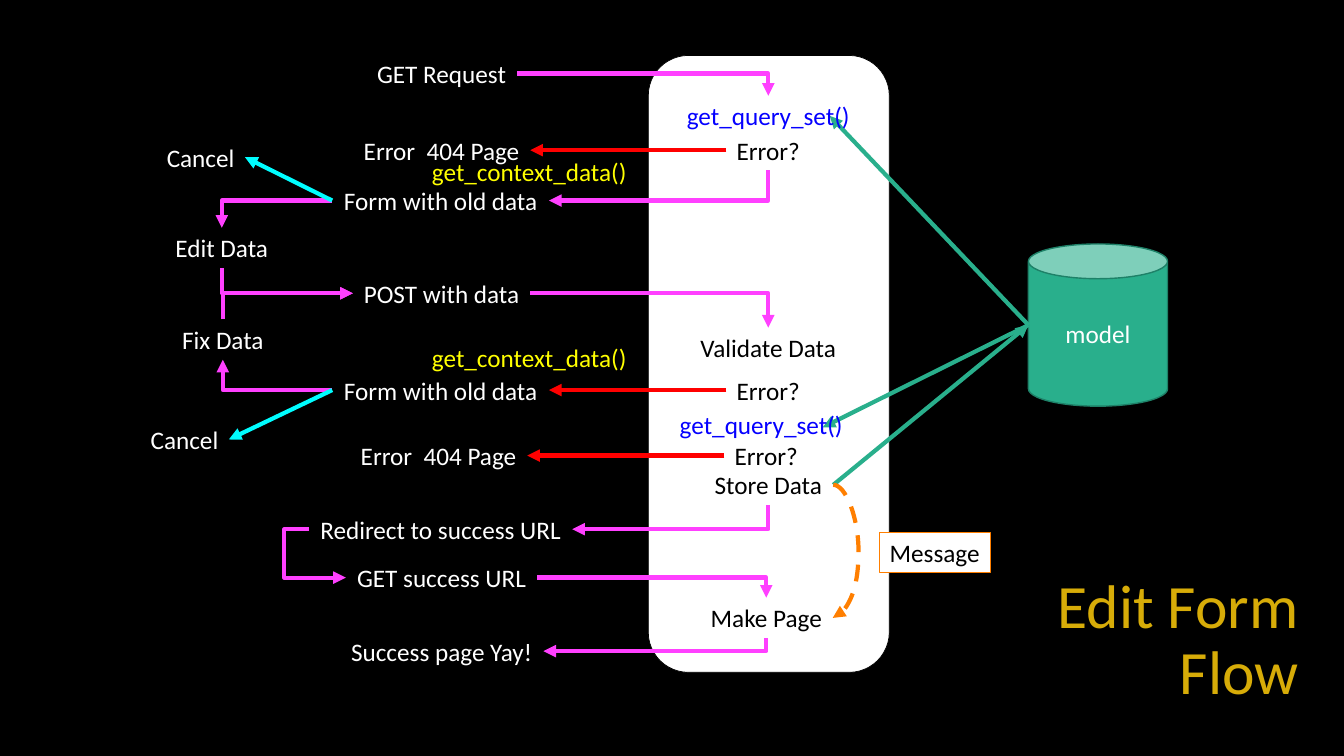
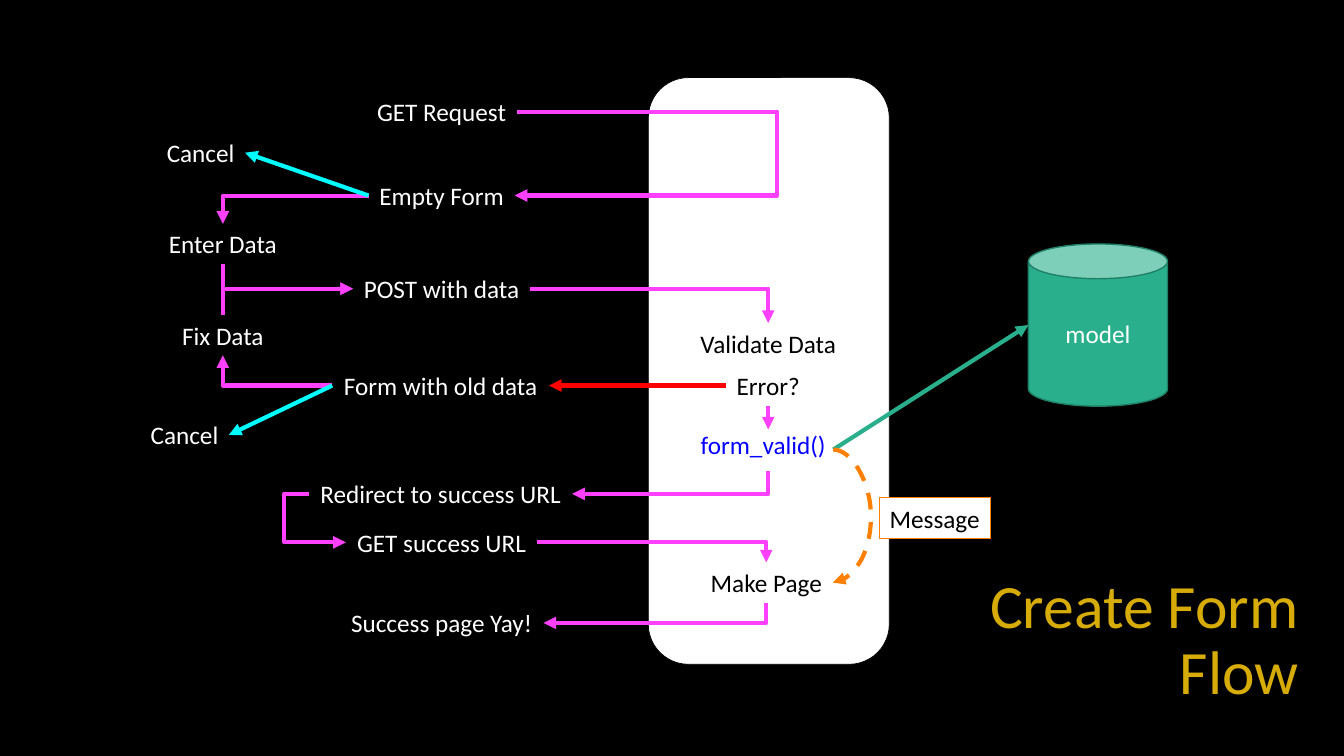
from dataclasses import dataclass
from typing import Dict, List, Optional, Tuple, Union

from lxml import etree
from pptx import Presentation
from pptx import util as u
from pptx.dml.color import RGBColor
from pptx.enum import dml, shapes, text
from pptx.oxml.ns import qn

SLIDE_WIDTH, SLIDE_HEIGHT = 13.33, 7.5
CELLS_PER_INCH = 10
FONT = "Calibri"
BLACK, WHITE, GOLD = "000000", "FFFFFF", "D7AC08"
FLOW, FAULT, CANCEL, DATA = "FF40FF", "FF0000", "00FDFF", "29AF8C"
MESSAGE, MODEL_EDGE, HOOK, CONTEXT = "FF7F00", "1E8168", "0500FF", "FFFF00"
SIDES = ("top", "left", "bottom", "right")
ROW = 4.0

Point = Tuple[float, float]
End = Union[str, Point]

POSES = {
    ("across", True, True): (0, ""),
    ("across", False, True): (180, "v"),
    ("across", False, False): (180, ""),
    ("down", False, True): (90, ""),
    ("down", True, True): (270, "h"),
    ("down", True, False): (90, "hv"),
    ("loop", True, True): (180, "hv"),
    ("loop", False, True): (0, "h"),
    ("curve", False, True): (0, "h"),
}


@dataclass(frozen=True)
class Node:
    words: str
    col: float
    row: float
    cols: float
    color: str = WHITE


@dataclass(frozen=True)
class Link:
    start: End
    end: End
    route: str = "straight"
    color: str = FLOW
    bend: Optional[float] = None
    dashed: bool = False


@dataclass(frozen=True)
class Flow:
    title: str
    title_col: float
    panel_row: float
    panel_rows: float
    message_row: float
    nodes: Dict[str, Node]
    links: List[Link]


def cells(count: float) -> int:
    return int(u.Inches(count / CELLS_PER_INCH))


def rgb(color: str) -> RGBColor:
    return RGBColor.from_string(color)


def write(shape, words: str, *, size=18, color=WHITE, align=text.PP_ALIGN.CENTER,
          spacing=None, wrap=False, fit=text.MSO_AUTO_SIZE.SHAPE_TO_FIT_TEXT):
    frame = shape.text_frame
    frame.text = words
    frame.word_wrap = wrap
    frame.auto_size = fit
    paragraph = frame.paragraphs[0]
    paragraph.alignment = align
    paragraph.line_spacing = spacing
    font = paragraph.runs[0].font
    font.name, font.size = FONT, u.Pt(size)
    font.color.rgb = rgb(color)


def add_block(slide, kind, col, row, cols, rows, fill, edge, weight):
    block = slide.shapes.add_shape(kind, *map(cells, (col, row, cols, rows)))
    block.shadow.inherit = False
    block.fill.solid()
    block.fill.fore_color.rgb = rgb(fill)
    block.line.color.rgb = rgb(edge)
    block.line.width = u.Pt(weight)
    return block


def add_node(slide, node: Node):
    box = slide.shapes.add_textbox(*map(cells, (
        node.col - node.cols / 2, node.row - ROW / 2, node.cols, ROW)))
    write(box, node.words, color=node.color)
    return box


def locate(end: End, parts) -> Tuple[int, int]:
    if not isinstance(end, str):
        return cells(end[0]), cells(end[1])
    name, side = end.split(".")
    part = parts[name]
    across, down = {"top": (1, 0), "left": (0, 1),
                    "bottom": (1, 2), "right": (2, 1)}[side]
    return part.left + part.width * across // 2, part.top + part.height * down // 2


def join(connect, end: End, parts):
    if isinstance(end, str):
        name, side = end.split(".")
        connect(parts[name], SIDES.index(side) + (name == "model"))


def add_link(slide, link: Link, parts):
    (x1, y1), (x2, y2) = locate(link.start, parts), locate(link.end, parts)
    kind = {"straight": shapes.MSO_CONNECTOR.STRAIGHT,
            "curve": shapes.MSO_CONNECTOR.CURVE}.get(link.route, shapes.MSO_CONNECTOR.ELBOW)
    arrow = slide.shapes.add_connector(kind, x1, y1, x2, y2)
    join(arrow.begin_connect, link.start, parts)
    join(arrow.end_connect, link.end, parts)

    if link.route == "straight":
        turn, flips = 0, "h" * (x2 < x1) + "v" * (y2 < y1)
    else:
        turn, flips = POSES[link.route, x2 > x1, y2 > y1]
    width, height = abs(x2 - x1), abs(y2 - y1)
    if turn in (90, 270):
        width, height = height, width
    arrow.left, arrow.top = (x1 + x2 - width) // 2, (y1 + y2 - height) // 2
    arrow.width, arrow.height = width, height
    properties = arrow.element.spPr
    frame = properties.find(qn("a:xfrm"))
    frame.set("rot", str(turn * 60000))
    frame.set("flipH", str(int("h" in flips)))
    frame.set("flipV", str(int("v" in flips)))

    geometry = properties.find(qn("a:prstGeom"))
    if link.route in ("across", "down"):
        geometry.set("prst", "bentConnector2")
    if link.bend is not None:
        share = round((cells(link.bend) - x1) / (x2 - x1) * 100000)
        etree.SubElement(geometry.find(qn("a:avLst")), qn("a:gd"),
                         name="adj1", fmla=f"val {share}")

    arrow.line.color.rgb = rgb(link.color)
    arrow.line.width = u.Pt(3)
    if link.dashed:
        arrow.line.dash_style = dml.MSO_LINE.DASH
    etree.SubElement(properties.find(qn("a:ln")), qn("a:tailEnd"), type="triangle")
    etree.SubElement(properties, qn("a:effectLst"))


def shared_nodes(form: float, tail: float) -> Dict[str, Node]:
    return {
        "cancel_first": Node("Cancel", 19.9, 15.6 + form, 8.8),
        "post": Node("POST with data", 43.8, 29.1 + form, 17.6),
        "fix": Node("Fix Data", 22.1, 33.7 + form, 10.2),
        "validate": Node("Validate Data", 76.2, 34.5 + form, 15.6, BLACK),
        "invalid": Node("Error?", 76.2, 38.7 + form, 8.3, BLACK),
        "returned": Node("Form with old data", 43.7, 38.7 + form, 21.5),
        "cancel_again": Node("Cancel", 18.3, 43.6 + form, 8.8),
        "redirect": Node("Redirect to success URL", 43.7, 52.5 + tail, 26.1),
        "success": Node("GET success URL", 43.8, 57.3 + tail, 19),
        "make": Node("Make Page", 76, 61.3 + tail, 13.2, BLACK),
    }


def shared_links(form: str, stored: End, stored_below: End, bend: float) -> List[Link]:
    return [
        Link(f"{form}.left", "edit.top", "across"),
        Link(f"{form}.left", "cancel_first.right", color=CANCEL),
        Link("edit.bottom", "post.left", "down"),
        Link("post.right", "validate.top", "across"),
        Link("invalid.left", "returned.right", color=FAULT),
        Link("returned.left", "fix.bottom", "across"),
        Link("fix.top", "post.left", "down"),
        Link("returned.left", "cancel_again.right", color=CANCEL),
        Link(stored, "model.left", color=DATA),
        Link(stored_below, "redirect.right", "down"),
        Link("redirect.left", "success.left", "loop", bend=28.2),
        Link("success.right", "make.top", "across"),
        Link("make.bottom", "yay.right", "down"),
        Link(stored, "make.right", "curve", MESSAGE, bend, True),
    ]


def edit_flow() -> Flow:
    nodes = {
        **shared_nodes(0, 0),
        "request": Node("GET Request", 43.8, 7.3, 15),
        "query": Node("get_query_set()", 76.2, 11.5, 18.4, HOOK),
        "missing": Node("Error?", 76.2, 14.9, 8.3, BLACK),
        "not_found": Node("Error  404 Page", 43.8, 14.9, 17.6),
        "context": Node("get_context_data()", 52.5, 17, 21.6, CONTEXT),
        "old": Node("Form with old data", 43.7, 19.9, 21.5),
        "edit": Node("Edit Data", 22, 24.6, 11.3),
        "context_again": Node("get_context_data()", 52.5, 35.5, 21.6, CONTEXT),
        "query_again": Node("get_query_set()", 75.5, 42.1, 18.4, HOOK),
        "missing_again": Node("Error?", 76, 45.2, 8.3, BLACK),
        "not_found_again": Node("Error  404 Page", 43.5, 45.2, 17.6),
        "store": Node("Store Data", 76.2, 48.1, 12.9, BLACK),
        "yay": Node("Success page Yay!", 43.8, 64.6, 20.2),
    }
    links = [
        Link("request.right", "query.top", "across"),
        Link("missing.left", "not_found.right", color=FAULT),
        Link("missing.bottom", "old.right", "down"),
        Link("missing_again.left", "not_found_again.right", color=FAULT),
        Link("model.left", (82.3, 11.5), color=DATA),
        Link("model.left", (81.6, 42.4), color=DATA),
        *shared_links("old", "store.right", "store.bottom", 85.1),
    ]
    return Flow("Edit Form Flow", 100, 5.5, 61.2, 52.8, nodes, links)


def create_flow() -> Flow:
    nodes = {
        **shared_nodes(-0.45, -3.5),
        "request": Node("GET Request", 43.8, 11.1, 15),
        "empty": Node("Empty Form", 43.8, 19.4, 14.5),
        "edit": Node("Enter Data", 22.1, 24.2, 12.9),
        "valid": Node("form_valid()", 75.7, 44.1, 14.6, HOOK),
        "yay": Node("Success page Yay!", 43.8, 61.8, 20.2),
    }
    links = [
        Link("request.right", "empty.right", "loop", bend=76.9),
        Link("invalid.bottom", (76.2, 42.6)),
        *shared_links("empty", (82.65, 44.6), (76.2, 46.7), 86.3),
    ]
    return Flow("Create Form Flow", 95.3, 7.7, 58.2, 49.4, nodes, links)


def add_flow(deck, flow: Flow):
    slide = deck.slides.add_slide(deck.slide_layouts[5])
    title = slide.shapes.title
    title.left, title.top, title.width, title.height = map(
        cells, (flow.title_col, 56.4, 129.8 - flow.title_col, 14.5))
    title.text_frame.vertical_anchor = text.MSO_ANCHOR.MIDDLE
    write(title, flow.title, size=44, color=GOLD, align=text.PP_ALIGN.RIGHT,
          spacing=0.9, wrap=True, fit=text.MSO_AUTO_SIZE.NONE)
    add_block(slide, shapes.MSO_SHAPE.ROUNDED_RECTANGLE, 64.3, flow.panel_row,
              23.9, flow.panel_rows, WHITE, BLACK, 0.5)
    model = add_block(slide, shapes.MSO_SHAPE.CAN, 102, 24.2, 13.8, 16.1,
                      DATA, MODEL_EDGE, 1)
    write(model, "model", wrap=True, fit=text.MSO_AUTO_SIZE.NONE)
    message = add_block(slide, shapes.MSO_SHAPE.RECTANGLE, 87.2, flow.message_row,
                        11, ROW, WHITE, MESSAGE, 0.75)
    write(message, "Message", color=BLACK)
    boxes = {name: add_node(slide, node) for name, node in flow.nodes.items()}
    for link in flow.links:
        add_link(slide, link, {**boxes, "model": model})
    for box in boxes.values():
        box.element.getparent().append(box.element)


def main():
    deck = Presentation()
    deck.slide_width, deck.slide_height = u.Inches(SLIDE_WIDTH), u.Inches(SLIDE_HEIGHT)
    backdrop = deck.slide_master.background.fill
    backdrop.solid()
    backdrop.fore_color.rgb = rgb(BLACK)
    for flow in (edit_flow(), create_flow()):
        add_flow(deck, flow)
    deck.save("out.pptx")


if __name__ == "__main__":
    main()
